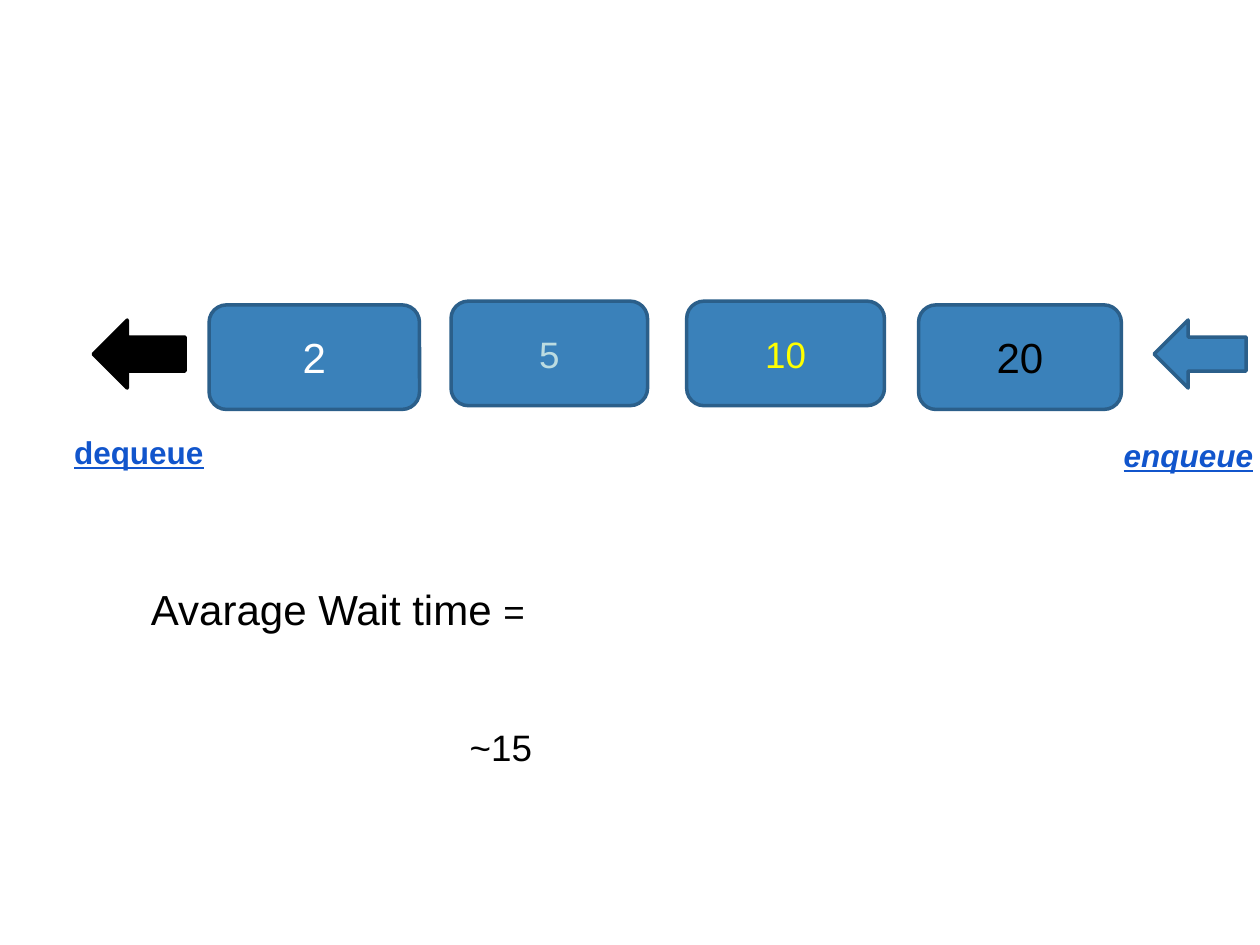
from pptx import Presentation
from pptx.dml.color import RGBColor
from pptx.enum.shapes import MSO_SHAPE
from pptx.enum.text import MSO_ANCHOR, PP_ALIGN
from pptx.util import Inches, Pt

BLUE, EDGE, LINK = "3A81BA", "2B5F8A", "1155CC"


def color(code):
    """Turn a hex string into a colour."""
    return RGBColor.from_string(code)


def write(para, text, size=21, ink="000000", bold=False, italic=False, under=False):
    """Add a formatted run to a paragraph."""
    run = para.add_run()
    run.text = text
    font = run.font
    font.name, font.size = "Arial", Pt(size)
    font.bold, font.italic, font.underline = bold, italic, under
    font.color.rgb = color(ink)


def draw(slide, kind, box, fill=BLUE, edge=EDGE):
    """Draw a filled and outlined shape in a box."""
    shape = slide.shapes.add_shape(kind, *map(Inches, box))
    shape.shadow.inherit = False
    shape.fill.solid()
    shape.fill.fore_color.rgb = color(fill)
    shape.line.color.rgb = color(edge)
    shape.line.width = Pt(2)
    return shape


def label(slide, box):
    """Place a text box and return its first paragraph."""
    frame = slide.shapes.add_textbox(*map(Inches, box)).text_frame
    frame.word_wrap = True
    return frame.paragraphs[0]


def node(slide, box, text, **style):
    """Place one queue item with its centred value."""
    frame = draw(slide, MSO_SHAPE.ROUNDED_RECTANGLE, box).text_frame
    frame.margin_left = frame.margin_right = Inches(0.07)
    frame.margin_top = frame.margin_bottom = Inches(0.04)
    frame.vertical_anchor = MSO_ANCHOR.MIDDLE
    para = frame.paragraphs[0]
    para.alignment = PP_ALIGN.CENTER
    write(para, text, **style)


def queue(slide, left, top):
    """Place the row of queue items."""
    items = [
        (0, 0.03, 1.67, "2", 24, "FFFFFF"),
        (1.92, 0, 1.56, "5", 21, "BCDCE1"),
        (3.79, 0, 1.57, "10", 21, "FFFF00"),
        (5.63, 0.03, 1.61, "20", 24, "000000"),
    ]
    for x, y, width, text, size, ink in items:
        node(slide, (left + x, top + y, width, 0.83), text, size=size, ink=ink)


def port(slide, left, top, text, shift, drop, fill=BLUE, edge=EDGE, italic=False):
    """Place an end of the queue: an arrow above its name."""
    draw(slide, MSO_SHAPE.LEFT_ARROW, (left, top, 0.73, 0.54), fill, edge)
    para = label(slide, (left + shift, top + drop, 1.73, 0.4))
    write(para, text, size=18, ink=LINK, bold=True, italic=italic, under=True)


def result(slide, left, top):
    """Place the wait time and its value."""
    para = label(slide, (left, top, 3.2, 0.5))
    write(para, "Avarage Wait time ", size=24)
    write(para, "=")
    write(label(slide, (left + 2.53, top + 1.12, 3.3, 0.45)), "~15")


def main():
    """Build and save the slide."""
    deck = Presentation()
    deck.slide_width, deck.slide_height = Inches(10), Inches(7.5)
    slide = deck.slides.add_slide(deck.slide_layouts[6])
    queue(slide, 1.66, 2.39)
    port(slide, 0.74, 2.54, "dequeue", -0.25, 0.85, "000000", "000000")
    port(slide, 9.16, 2.54, "enqueue", -0.34, 0.87, italic=True)
    result(slide, 1.1, 4.58)
    deck.save("out.pptx")


if __name__ == "__main__":
    main()
